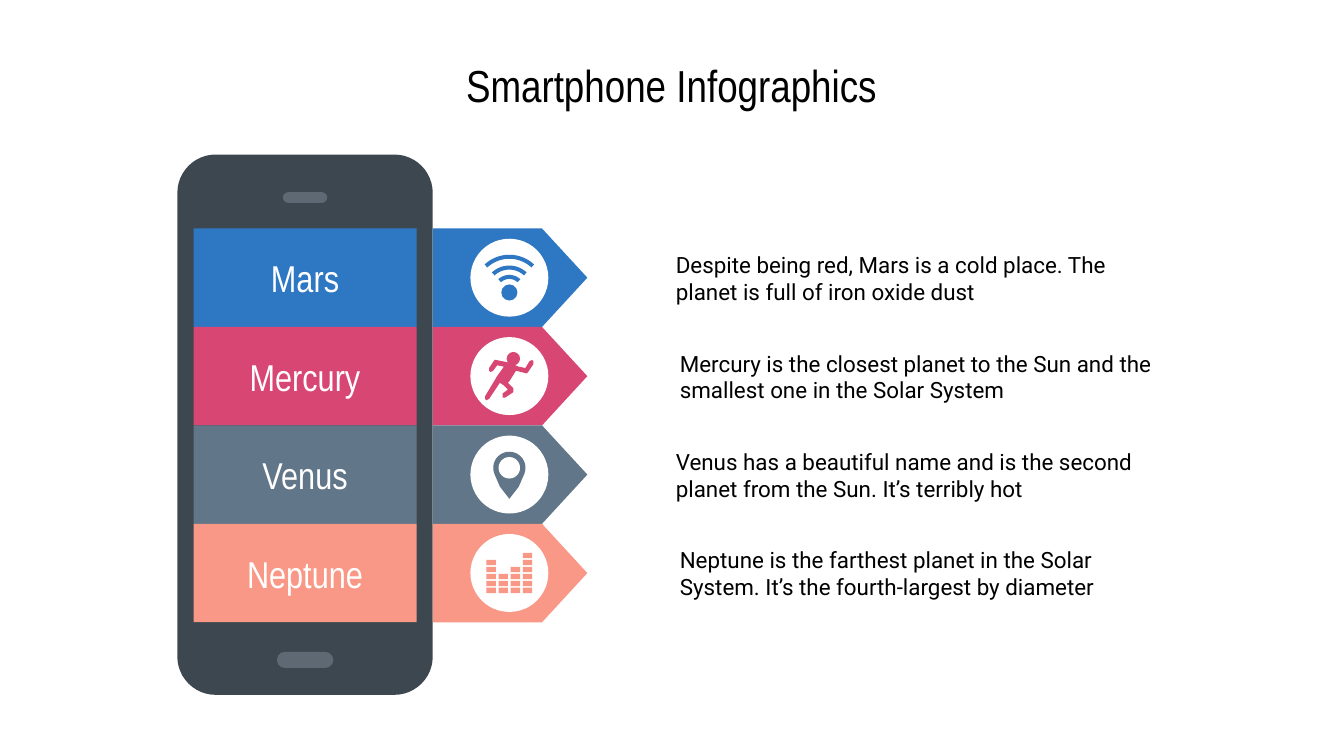
from math import cos, radians, sin
from pptx import Presentation
from pptx.dml.color import RGBColor
from pptx.enum.shapes import MSO_SHAPE
from pptx.enum.text import MSO_ANCHOR, MSO_AUTO_SIZE, PP_ALIGN
from pptx.util import Inches, Pt

RECT = MSO_SHAPE.RECTANGLE
ROUND = MSO_SHAPE.ROUNDED_RECTANGLE
OVAL = MSO_SHAPE.OVAL
ARROW = MSO_SHAPE.PENTAGON
MIDDLE = MSO_ANCHOR.MIDDLE
LEFT, CENTER = PP_ALIGN.LEFT, PP_ALIGN.CENTER
NO_FIT = MSO_AUTO_SIZE.NONE

HEAD_FONT, BODY_FONT = "Arial Narrow", "Roboto"
WHITE, BLACK = "FFFFFF", "000000"
CASE, BUTTON = "3D4750", "5F6974"

RUNNER = [
    (-0.1, -0.12), (0, -0.1), (0.07, -0.07), (0.12, -0.06), (0.15, -0.11),
    (0.17, -0.12), (0.18, -0.11), (0.18, -0.09), (0.14, -0.03), (0.13, -0.02),
    (0.05, -0.04), (0, 0.04), (-0.01, 0.05), (0.03, 0.09), (0.03, 0.12),
    (-0.03, 0.16), (-0.05, 0.16), (-0.05, 0.13), (-0.01, 0.1), (-0.04, 0.07),
    (-0.07, 0.05), (-0.15, 0.17), (-0.17, 0.18), (-0.18, 0.17), (-0.18, 0.15),
    (-0.09, 0), (-0.04, -0.07), (-0.09, -0.08), (-0.12, -0.04), (-0.14, -0.03),
    (-0.15, -0.04), (-0.15, -0.06), (-0.11, -0.12),
]


def rgb(value):
    return RGBColor.from_string(value)


def paint(sp, color):
    sp.fill.solid()
    sp.fill.fore_color.rgb = rgb(color)
    sp.line.fill.background()
    sp.shadow.inherit = False
    return sp


def add_shape(s, kind, x, y, w, h, color, adj=None):
    sp = s.shapes.add_shape(kind, Inches(x), Inches(y), Inches(w), Inches(h))
    if adj is not None:
        sp.adjustments[0] = adj
    return paint(sp, color)


def add_circle(s, cx, cy, radius, color):
    return add_shape(s, OVAL, cx - radius, cy - radius, 2 * radius, 2 * radius, color)


def add_outline(s, cx, cy, points, color):
    pts = [(Inches(cx + x), Inches(cy + y)) for x, y in points]
    builder = s.shapes.build_freeform(*pts[0])
    builder.add_line_segments(pts[1:], close=True)
    return paint(builder.convert_to_shape(), color)


def arc(radius, start, end, steps=24):
    angles = [radians(start + (end - start) * i / steps) for i in range(steps + 1)]
    return [(radius * cos(a), radius * sin(a)) for a in angles]


def set_text(sp, text, font=BODY_FONT, size=12, color=BLACK, align=LEFT):
    tf = sp.text_frame
    tf.word_wrap = True
    tf.auto_size = NO_FIT
    tf.vertical_anchor = MIDDLE
    tf.margin_left = tf.margin_right = tf.margin_top = tf.margin_bottom = Inches(0.1)
    p = tf.paragraphs[0]
    p.alignment = align
    r = p.add_run()
    r.text = text
    r.font.name = font
    r.font.size = Pt(size)
    r.font.color.rgb = rgb(color)


def wifi_icon(s, cx, cy, color):
    base = cy + 0.1
    for radius in (0.27, 0.19, 0.12):
        ring = arc(radius, -133, -47) + arc(radius - 0.03, -47, -133)
        add_outline(s, cx, base, ring, color)
    add_circle(s, cx, cy + 0.11, 0.06, color)


def runner_icon(s, cx, cy, color):
    add_outline(s, cx, cy, RUNNER, color)
    add_circle(s, cx + 0.03, cy - 0.13, 0.05, color)


def pin_icon(s, cx, cy, color):
    top = cy - 0.05
    add_outline(s, cx, top, arc(0.12, -200, 20) + [(0.07, 0.14), (0, 0.23), (-0.07, 0.14)], color)
    add_circle(s, cx, top, 0.08, WHITE)


def equalizer_icon(s, cx, cy, color):
    step = 0.26 / 5
    for col, count in enumerate((5, 3, 4, 6)):
        for row in range(count):
            add_shape(s, RECT, cx - 0.17 + col * 0.09, cy + 0.11 - row * step, 0.07, 0.04, color)


def add_title(s, text, x, y, w, h):
    sp = s.shapes.title
    sp.left, sp.top, sp.width, sp.height = Inches(x), Inches(y), Inches(w), Inches(h)
    set_text(sp, text, font=HEAD_FONT, size=24, align=CENTER)


def add_phone(s, x, y, w, h):
    add_shape(s, ROUND, x, y, w, h, CASE, 0.15)
    for bw, bh, top in ((0.33, 0.08, 0.28), (0.42, 0.12, 3.7)):
        add_shape(s, ROUND, x + (w - bw) / 2, y + top, bw, bh, BUTTON, 0.5)


def add_row(s, x, y, h, name, text, color, icon, indent):
    add_shape(s, ARROW, x + 1.78, y, 1.15, h, color, 0.46)
    label = add_shape(s, RECT, x, y, 1.66, h, color)
    set_text(label, name, font=HEAD_FONT, size=20, color=WHITE, align=CENTER)
    cx, cy = x + 2.35, y + h / 2
    add_circle(s, cx, cy, 0.29, WHITE)
    icon(s, cx, cy, color)
    box = s.shapes.add_textbox(Inches(x + 3.49 + indent), Inches(y + 0.07), Inches(3.72), Inches(0.6))
    set_text(box, text)


ROWS = [
    ("Mars", "Despite being red, Mars is a cold place. The planet is full of iron oxide dust",
     "2E77C3", wifi_icon),
    ("Mercury", "Mercury is the closest planet to the Sun and the smallest one in the Solar System",
     "D84774", runner_icon),
    ("Venus", "Venus has a beautiful name and is the second planet from the Sun. It’s terribly hot",
     "617688", pin_icon),
    ("Neptune", "Neptune is the farthest planet in the Solar System. It’s the fourth-largest by diameter",
     "FA9887", equalizer_icon),
]


def main():
    prs = Presentation()
    prs.slide_width = Inches(10)
    prs.slide_height = prs.slide_width * 9 // 16
    s = prs.slides.add_slide(prs.slide_layouts[5])
    add_title(s, "Smartphone Infographics", 2.32, 0.42, 5.35, 0.42)
    add_phone(s, 1.32, 1.15, 1.9, 4.02)
    row_h = 2.93 / len(ROWS)
    for i, row in enumerate(ROWS):
        add_row(s, 1.44, 1.7 + i * row_h, row_h, *row, indent=0.03 * (i % 2))
    prs.save("out.pptx")


if __name__ == "__main__":
    main()
